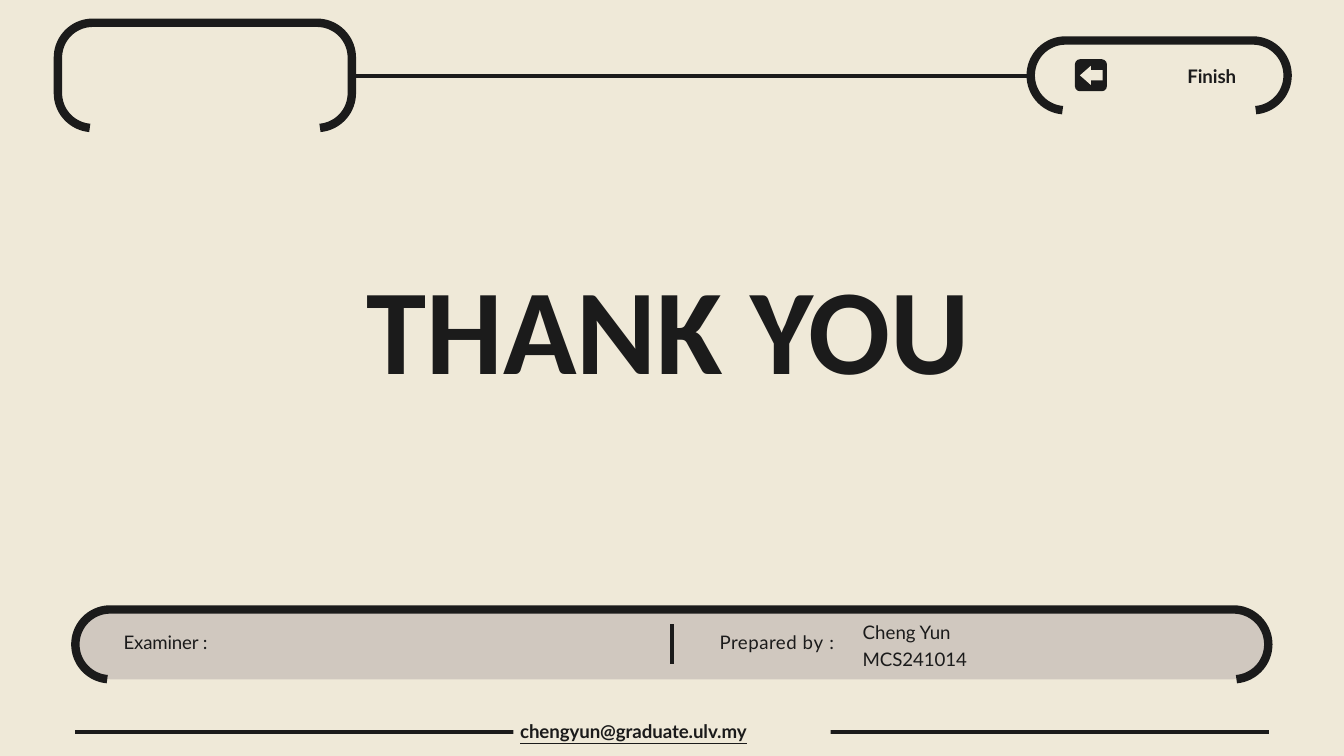
import math
import pptx
import pptx.util
import pptx.dml.color
import pptx.enum.shapes
import pptx.enum.text
import pptx.oxml

Cm = pptx.util.Cm
Pt = pptx.util.Pt
KIND = pptx.enum.shapes.MSO_SHAPE
INK = pptx.dml.color.RGBColor(0x1B, 0x1B, 0x1B)
CREAM = pptx.dml.color.RGBColor(0xEF, 0xE9, 0xD8)
TAUPE = pptx.dml.color.RGBColor(0xD0, 0xC8, 0xBF)
CURVE = 1.32

deck = pptx.Presentation()
deck.slide_width = Cm(50.8)
deck.slide_height = Cm(28.58)
slide = deck.slides.add_slide(deck.slide_layouts[5])
slide.background.fill.solid()
slide.background.fill.fore_color.rgb = CREAM
shapes = slide.shapes


def block(kind, left, top, width, height, color, bends):
    shape = shapes.add_shape(kind, Cm(left), Cm(top), Cm(width), Cm(height))
    shape.shadow.inherit = False
    shape.fill.solid()
    shape.fill.fore_color.rgb = color
    shape.line.fill.background()
    for index, bend in enumerate(bends):
        shape.adjustments[index] = bend


def write(box, paras, font, size, bold=False, under=None, space=1, lead=1.0):
    frame = box.text_frame
    frame.word_wrap = True
    frame.vertical_anchor = pptx.enum.text.MSO_ANCHOR.TOP
    frame.auto_size = pptx.enum.text.MSO_AUTO_SIZE.NONE
    frame.margin_left = frame.margin_right = frame.margin_bottom = 0
    frame.margin_top = Cm(0.03)
    for index, runs in enumerate(paras):
        para = frame.add_paragraph() if index else frame.paragraphs[0]
        para.alignment = pptx.enum.text.PP_ALIGN.LEFT
        para.space_before = Pt(space)
        para.line_spacing = lead
        for text, gap in runs:
            run = para.add_run()
            run.text = text
            run.font.name = font
            run.font.size = Pt(size)
            run.font.bold = bold
            run.font.underline = under
            run.font.color.rgb = INK
            run._r.get_or_add_rPr().set("spc", str(round(gap * 100)))


bar = (2.85, 23.04, 45.09, 2.64, TAUPE)
pill = (38.96, 1.53, 9.71, 2.64, CREAM)
tab = (2.19, 0.86, 11.11, 3.98, CREAM)
for left, top, width, height, color in (bar, pill, tab):
    block(KIND.ROUNDED_RECTANGLE, left, top, width, height, color,
          [CURVE / height])
    west, east = left + CURVE, left + width - CURVE
    north, south = top + CURVE, top + height - CURVE
    turns = [(west, south, 95, 180), (west, north, 180, 270),
             (east, north, 270, 360), (east, south, 360, 445)]
    points = []
    for x, y, start, end in turns:
        for angle in range(start, end + 1, 5):
            turn = math.radians(angle)
            points.append((Cm(x + CURVE * math.cos(turn)),
                           Cm(y + CURVE * math.sin(turn))))
    pen = shapes.build_freeform(*points[0])
    pen.add_line_segments(points[1:], close=False)
    edge = pen.convert_to_shape()
    edge.shadow.inherit = False
    edge.fill.background()
    edge.line.color.rgb = INK
    edge.line.width = Pt(9)

block(KIND.ROUNDED_RECTANGLE, 40.63, 2.24, 1.21, 1.21, INK, [0.16])
block(KIND.LEFT_ARROW, 40.82, 2.49, 0.86, 0.72, CREAM, [0.54, 0.57])

rules = [(25.4, 23.6, 25.4, 25.12),
         (13.3, 2.86, 38.96, 2.86),
         (2.85, 27.66, 47.98, 27.66)]
for rule in rules:
    line = shapes.add_connector(pptx.enum.shapes.MSO_CONNECTOR.STRAIGHT,
                                *map(Cm, rule))
    line.line.color.rgb = INK
    line.line.width = Pt(4.5)
    line._element.spPr.append(pptx.oxml.parse_xml(
        '<a:effectLst xmlns:a='
        '"http://schemas.openxmlformats.org/drawingml/2006/main"/>'))
block(KIND.ROUNDED_RECTANGLE, 19.41, 27.05, 11.99, 1.19, CREAM, [0.25])

title = shapes.title
title.left, title.top, title.width, title.height = map(
    Cm, (44.88, 2.41, 2.18, 0.91))
write(title, [[("Finish", -0.1)]], "Lato", 20, bold=True)
shapes._spTree.append(title._element)

notes = [
    ((13.87, 9.53, 23.04, 5.56), [[("THANK ", 0), ("YOU", -0.2)]],
     dict(font="Calibri", size=130, bold=True, space=0.9)),
    ((27.2, 23.8, 4.47, 0.91),
     [[("Prepared ", 0.5), ("by ", 0.9), (":", -0.5)]],
     dict(font="Lato", size=20)),
    ((32.61, 23.32, 11.15, 1.96),
     [[("Cheng Yun", 0)], [("MCS241014", -0.1)]],
     dict(font="Lato", size=20, lead=1.16)),
    ((4.67, 23.8, 3.35, 0.91), [[("Examiner ", -0.2), (":", -0.5)]],
     dict(font="Lato", size=20)),
    ((19.66, 27.18, 11.48, 0.89), [[("chengyun@graduate.ulv.my", -0.1)]],
     dict(font="Lato", size=20, bold=True, under=True)),
]
for place, paras, style in notes:
    write(shapes.add_textbox(*map(Cm, place)), paras, **style)

deck.save("out.pptx")
